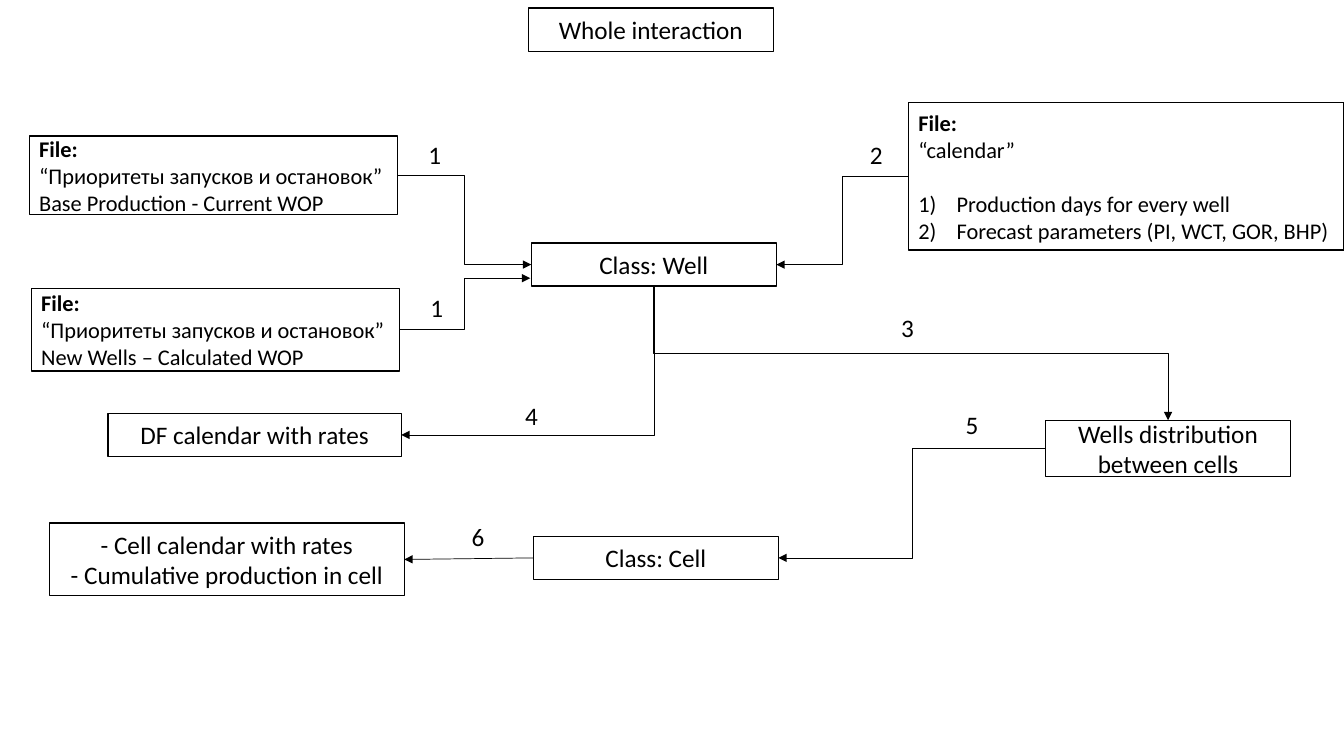
from pptx import Presentation
from pptx.dml.color import RGBColor as Rgb
from pptx.enum.shapes import MSO_CONNECTOR as Conn, MSO_SHAPE as Kind
from pptx.enum.text import MSO_ANCHOR as Anchor, MSO_AUTO_SIZE as Fit, PP_ALIGN as Align
from pptx.oxml.ns import qn
from pptx.util import Inches, Pt
from lxml.etree import SubElement as Sub

INK = {"line": "000000", "text": "000000", "fill": "FFFFFF"}
TOP, LEFT, BOTTOM, RIGHT = range(4)


class Chart:
    """Holds the slide and the style of the flow chart."""
    font = "Calibri"
    big, small = 18, 16

    def __init__(self, slide):
        self.slide = slide

    def color(self, name):
        return Rgb.from_string(INK[name])

    def add_text(self, para, text, size, bold=False):
        run = para.add_run()
        run.text = text
        run.font.name, run.font.size, run.font.bold = self.font, Pt(size), bold
        run.font.color.rgb = self.color("text")

    def frame(self, shape, lines, size, align, head=False):
        """Style a shape as a white box and fill it; head makes the first line bold."""
        shape.shadow.inherit = False
        shape.fill.solid()
        shape.fill.fore_color.rgb = self.color("fill")
        shape.line.color.rgb = self.color("line")
        shape.line.width = Pt(1)
        body = shape.text_frame
        body.word_wrap, body.auto_size = True, Fit.NONE
        body.vertical_anchor = Anchor.MIDDLE
        for i, text in enumerate(lines):
            para = body.add_paragraph() if i else body.paragraphs[0]
            para.alignment = align
            para.line_spacing = 1.0
            self.add_text(para, text, size, head and i == 0)
        return shape

    def title(self, text, x, y, w, h):
        shape = self.slide.shapes.title
        shape.left, shape.top, shape.width, shape.height = map(Inches, (x, y, w, h))
        self.frame(shape, [text], self.big, Align.CENTER)

    def rect(self, x, y, w, h):
        return self.slide.shapes.add_shape(Kind.RECTANGLE, *map(Inches, (x, y, w, h)))

    def box(self, lines, x, y, w, h):
        return self.frame(self.rect(x, y, w, h), lines, self.big, Align.CENTER)

    def file(self, lines, x, y, w, h):
        return self.frame(self.rect(x, y, w, h), ["File:"] + lines,
                          self.small, Align.LEFT, head=True)

    def number(self, paras):
        """Turn paragraphs into a numbered list set off from the text above."""
        paras[0].space_before = Pt(self.small * 1.2)
        for para in paras:
            props = para._p.get_or_add_pPr()
            props.set("marL", str(Inches(0.38)))
            props.set("indent", str(-Inches(0.38)))
            Sub(props, qn("a:buAutoNum"), type="arabicParenR")

    def label(self, text, x, y):
        shape = self.slide.shapes.add_textbox(*map(Inches, (x, y, 0.33, 0.4)))
        body = shape.text_frame
        body.word_wrap, body.auto_size = False, Fit.SHAPE_TO_FIT_TEXT
        self.add_text(body.paragraphs[0], text, self.big)

    def arrow(self, start, side, end=None, goal=LEFT, spot=None, kind=Conn.ELBOW):
        """Join a side of start to a side of end, or to a free spot."""
        x, y = map(Inches, spot or (0, 0))
        link = self.slide.shapes.add_connector(kind, 0, 0, x, y)
        link.begin_connect(start, side)
        if end is not None:
            link.end_connect(end, goal)
        link.line.color.rgb = self.color("line")
        link.line.width = Pt(0.5)
        Sub(link.line._get_or_add_ln(), qn("a:tailEnd"), type="triangle")
        Sub(link._element.spPr, qn("a:effectLst"))
        return link

    def drop(self, start, end, goal, shape="bentConnector3"):
        """Join the bottom of start to end by an arrow that leaves downwards."""
        link = self.arrow(start, BOTTOM, end, goal)
        east = link.end_x > link.begin_x
        wide, high = link.width, link.height
        left = link.left + (wide - high) // 2
        top = link.top + (high - wide) // 2
        link.left, link.top, link.width, link.height = left, top, high, wide
        props = link._element.spPr
        form = props.find(qn("a:xfrm"))
        form.set("rot", str((270 if east else 90) * 60000))
        form.set("flipH", "1" if east else "0")
        form.set("flipV", "0")
        props.find(qn("a:prstGeom")).set("prst", shape)


def main():
    deck = Presentation()
    deck.slide_width, deck.slide_height = Inches(13.33), Inches(7.5)
    chart = Chart(deck.slides.add_slide(deck.slide_layouts[5]))

    chart.title("Whole interaction", 5.24, 0.08, 2.43, 0.43)
    well = chart.box(["Class: Well"], 5.27, 2.41, 2.43, 0.43)
    cell = chart.box(["Class: Cell"], 5.29, 5.32, 2.43, 0.43)
    split = chart.box(["Wells distribution between cells"], 10.37, 4.17, 2.43, 0.56)
    rates = chart.box(["DF calendar with rates"], 1.07, 4.1, 2.91, 0.43)
    total = chart.box(["- Cell calendar with rates", "- Cumulative production in cell"],
                      0.49, 5.19, 3.52, 0.72)

    order = "“Приоритеты запусков и остановок”"
    base = chart.file([order, "Base Production - Current WOP"], 0.29, 1.35, 3.65, 0.78)
    fresh = chart.file([order, "New Wells – Calculated WOP"], 0.31, 2.86, 3.65, 0.82)
    days = chart.file(["“calendar”", "Production days for every well",
                       "Forecast parameters (PI, WCT, GOR, BHP)"], 9.01, 1.02, 4.32, 1.46)
    chart.number(days.text_frame.paragraphs[2:])

    chart.arrow(base, RIGHT, well, LEFT)
    chart.arrow(fresh, RIGHT, spot=(5.26, 2.76))
    chart.arrow(days, LEFT, well, RIGHT)
    chart.drop(well, split, TOP)
    chart.drop(well, rates, RIGHT, "bentConnector2")
    chart.arrow(split, LEFT, cell, RIGHT)
    chart.arrow(cell, LEFT, total, RIGHT, kind=Conn.STRAIGHT)

    for text, x, y in [("1", 4.15, 1.33), ("1", 4.17, 2.85), ("2", 8.53, 1.33),
                       ("3", 8.84, 3.05), ("4", 5.11, 3.92), ("5", 9.48, 4.01),
                       ("6", 4.58, 5.12)]:
        chart.label(text, x, y)

    deck.save("out.pptx")


if __name__ == "__main__":
    main()
